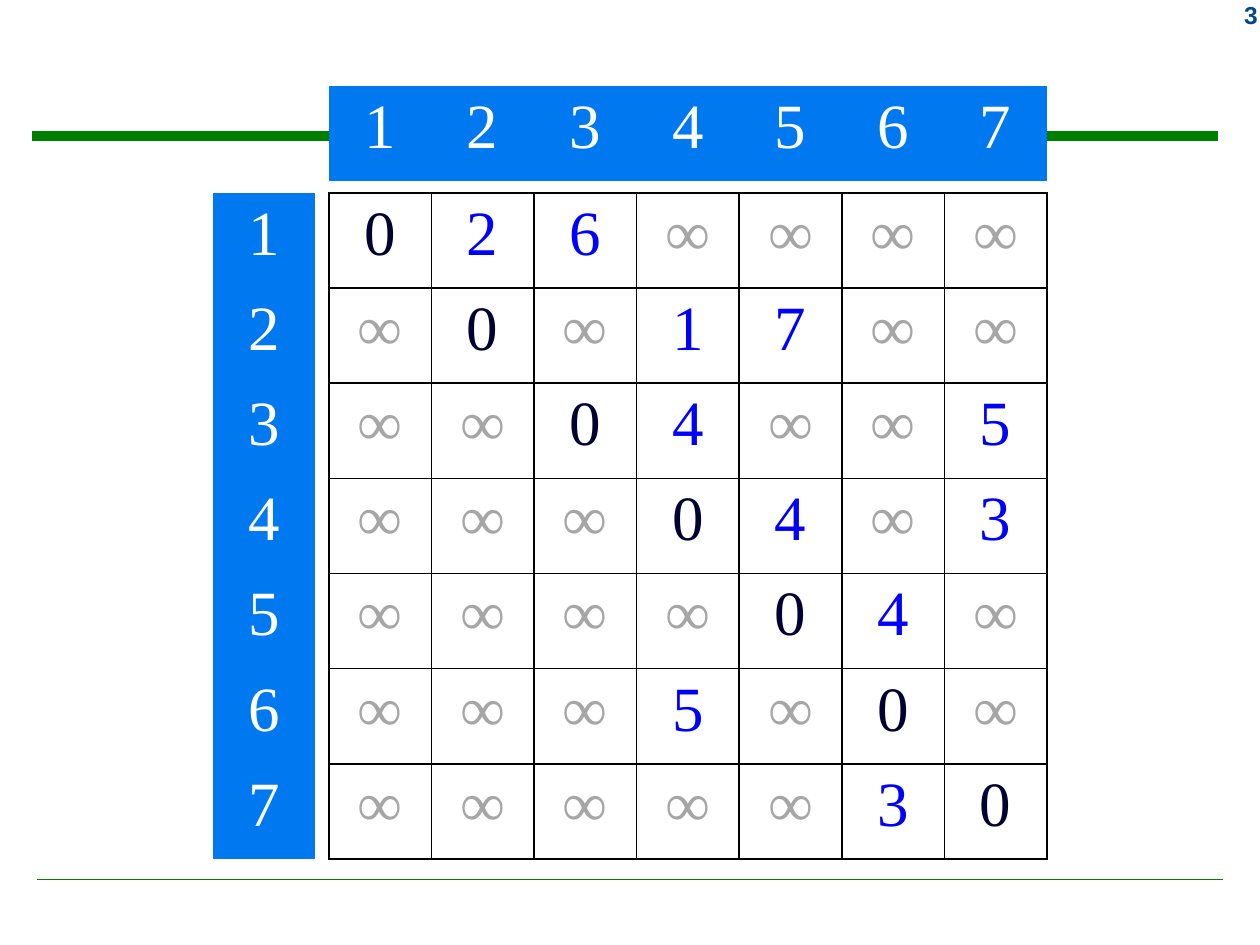
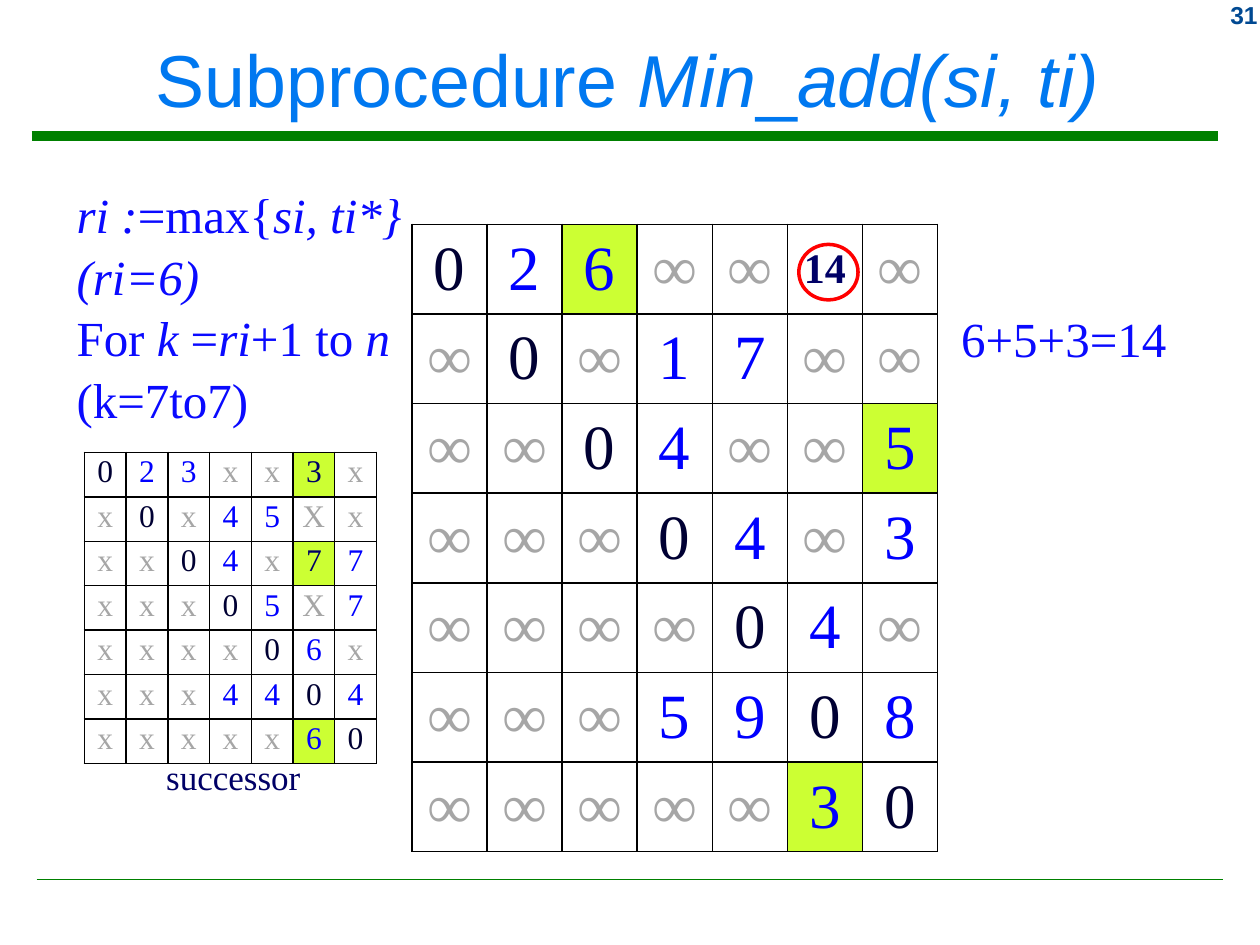
from dataclasses import dataclass, field

import pptx
import pptx.dml.color
import pptx.enum.shapes
import pptx.enum.text
import pptx.oxml
import pptx.oxml.ns
import pptx.util
from lxml import etree

PX = 9144  # EMU per px, 100 px to the inch
ALIGN = pptx.enum.text.PP_ALIGN
ANCHOR = pptx.enum.text.MSO_ANCHOR
SANS, SERIF = "Arial", "Times New Roman"
COLORS = {
    "rule": "008000", "number": "004992", "header": "0078F0", "white": "FFFFFF",
    "diagonal": "000033", "value": "0000FF", "empty": "A6A6A6", "border": "000000",
    "lime": "CCFF33", "navy": "000066", "body": "0A0AFF", "ring": "FF0000",
}


@dataclass
class Box:
    left: int
    top: int
    width: int
    height: int

    def emu(self) -> list[int]:
        return [length * PX for length in (self.left, self.top, self.width, self.height)]


@dataclass
class TextStyle:
    size: int
    color: str
    font: str = SERIF
    bold: bool = False
    align: ALIGN = ALIGN.LEFT
    anchor: ANCHOR = ANCHOR.TOP
    spacing: float = 1.0
    wrap: bool = True


@dataclass
class Mark:
    """Emphasis of a single grid cell."""
    fill: str = ""
    color: str = ""
    size: int = 0
    bold: bool = False


@dataclass
class Grid:
    box: Box
    rows: list[str]
    size: int = 36
    header: bool = False
    anchor: ANCHOR = ANCHOR.TOP
    insets: tuple[int, int] = (10, 5)
    marks: dict[tuple[int, int], Mark] = field(default_factory=dict)


def rgb(name: str) -> pptx.dml.color.RGBColor:
    return pptx.dml.color.RGBColor.from_string(COLORS[name])


def style_run(run, style: TextStyle, italic: bool = False) -> None:
    run.font.name = style.font
    run.font.size = pptx.util.Pt(style.size)
    run.font.bold = style.bold
    run.font.italic = italic
    run.font.color.rgb = rgb(style.color)


def write_lines(text_frame, lines: list[str], style: TextStyle) -> None:
    """Fill a frame; the parts between bars are italic."""
    text_frame.word_wrap = style.wrap
    text_frame.auto_size = pptx.enum.text.MSO_AUTO_SIZE.NONE
    text_frame.vertical_anchor = style.anchor
    text_frame.text = "\n".join(line.replace("|", "") for line in lines)
    for paragraph, line in zip(text_frame.paragraphs, lines):
        paragraph.alignment = style.align
        paragraph.line_spacing = style.spacing
        paragraph.text = ""
        for index, part in enumerate(line.split("|")):
            if part:
                run = paragraph.add_run()
                run.text = part
                style_run(run, style, italic=index % 2 == 1)


def add_text(slide, box: Box, lines: list[str], style: TextStyle) -> None:
    write_lines(slide.shapes.add_textbox(*box.emu()).text_frame, lines, style)


def add_rule(slide, left: int, right: int, top: int, weight: float) -> None:
    connector = slide.shapes.add_connector(
        pptx.enum.shapes.MSO_CONNECTOR.STRAIGHT, left * PX, top * PX, right * PX, top * PX)
    connector.line.color.rgb = rgb("rule")
    connector.line.width = pptx.util.Pt(weight)
    etree.SubElement(connector._element.spPr, pptx.oxml.ns.qn("a:effectLst"))


def set_borders(cell, visible: bool) -> None:
    properties = cell._tc.get_or_add_tcPr()
    paint = (f'<a:solidFill><a:srgbClr val="{COLORS["border"]}"/></a:solidFill>'
             if visible else "<a:noFill/>")
    for index, side in enumerate("LRTB"):
        properties.insert(index, pptx.oxml.parse_xml(
            f'<a:ln{side} {pptx.oxml.ns.nsdecls("a")} w="12700">{paint}</a:ln{side}>'))


def value_color(value: str) -> str:
    if value == "0":
        return "diagonal"
    return "empty" if value in "∞xX" else "value"


def add_grid(slide, grid: Grid) -> None:
    rows = [row.split() for row in grid.rows]
    table = slide.shapes.add_table(len(rows), len(rows[0]), *grid.box.emu()).table
    table.first_row = table.horz_banding = False
    side, edge = (inset * PX for inset in grid.insets)
    for row, values in enumerate(rows):
        for column, value in enumerate(values):
            mark = grid.marks.get((row, column), Mark())
            cell = table.cell(row, column)
            cell.margin_left = cell.margin_right = side
            cell.margin_top = cell.margin_bottom = edge
            cell.vertical_anchor = grid.anchor
            fill = "header" if grid.header else mark.fill
            if fill:
                cell.fill.solid()
                cell.fill.fore_color.rgb = rgb(fill)
            else:
                cell.fill.background()
            set_borders(cell, visible=not grid.header)
            color = "white" if grid.header else mark.color or value_color(value)
            paragraph = cell.text_frame.paragraphs[0]
            paragraph.text = value
            paragraph.alignment = ALIGN.CENTER
            style_run(paragraph.runs[0],
                      TextStyle(mark.size or grid.size, color, bold=mark.bold))


def add_slide(presentation, number: int, title: str = ""):
    """Start a slide with the shared rules, page number and optional title."""
    slide = presentation.slides.add_slide(presentation.slide_layouts[5 if title else 6])
    add_rule(slide, 25, 967, 108, 5.25)
    add_rule(slide, 29, 971, 698, 1)
    add_text(slide, Box(917, -5, 91, 33), [str(number)],
             TextStyle(14, "number", SANS, bold=True, align=ALIGN.RIGHT))
    if title:
        shape = slide.shapes.title
        shape.left, shape.top, shape.width, shape.height = Box(8, 9, 980, 106).emu()
        write_lines(shape.text_frame, [title], TextStyle(
            42, "header", SANS, align=ALIGN.CENTER, anchor=ANCHOR.MIDDLE))
    return slide


def build_distance_slide(presentation) -> None:
    slide = add_slide(presentation, 3)
    labels = "1 2 3 4 5 6 7"
    add_grid(slide, Grid(Box(261, 153, 570, 529), [
        "0 2 6 ∞ ∞ ∞ ∞",
        "∞ 0 ∞ 1 7 ∞ ∞",
        "∞ ∞ 0 4 ∞ ∞ 5",
        "∞ ∞ ∞ 0 4 ∞ 3",
        "∞ ∞ ∞ ∞ 0 4 ∞",
        "∞ ∞ ∞ 5 ∞ 0 ∞",
        "∞ ∞ ∞ ∞ ∞ 3 0",
    ]))
    add_grid(slide, Grid(Box(261, 68, 570, 76), [labels], header=True))
    add_grid(slide, Grid(Box(169, 153, 81, 529), labels.split(), header=True))


def build_min_add_slide(presentation) -> None:
    slide = add_slide(presentation, 31, "Subprocedure |Min|_|add(si, ti)|")
    lime = Mark(fill="lime")
    lime_navy = Mark(fill="lime", color="navy")

    # Distance matrix
    add_grid(slide, Grid(Box(327, 178, 417, 498), [
        "0 2 6 ∞ ∞ 14 ∞",
        "∞ 0 ∞ 1 7 ∞ ∞",
        "∞ ∞ 0 4 ∞ ∞ 5",
        "∞ ∞ ∞ 0 4 ∞ 3",
        "∞ ∞ ∞ ∞ 0 4 ∞",
        "∞ ∞ ∞ 5 9 0 8",
        "∞ ∞ ∞ ∞ ∞ 3 0",
    ], anchor=ANCHOR.MIDDLE, marks={
        (0, 2): lime, (2, 6): lime, (6, 5): lime,
        (0, 5): Mark(color="navy", size=24, bold=True),
    }))

    # Procedure steps and labels
    body = TextStyle(28, "body", spacing=1.05)
    add_text(slide, Box(122, 595, 128, 44), ["successor"], TextStyle(20, "navy", wrap=False))
    add_text(slide, Box(51, 139, 323, 199), [
        "|ri :|=max{|si, ti*}|",
        "|(ri=6)|",
        "For |k |=|ri|+1 to |n|",
        "(k=7to7)",
    ], body)
    add_text(slide, Box(753, 238, 228, 57), ["6+5+3=14"], body)

    # Ring around the new distance
    ring = slide.shapes.add_shape(
        pptx.enum.shapes.MSO_SHAPE.OVAL, *Box(634, 194, 47, 44).emu())
    ring.shadow.inherit = False
    ring.fill.background()
    ring.line.color.rgb = rgb("ring")
    ring.line.width = pptx.util.Pt(2)

    # Successor matrix
    add_grid(slide, Grid(Box(67, 359, 232, 247), [
        "0 2 3 x x 3 x",
        "x 0 x 4 5 X x",
        "x x 0 4 x 7 7",
        "x x x 0 5 X 7",
        "x x x x 0 6 x",
        "x x x 4 4 0 4",
        "x x x x x 6 0",
    ], size=18, insets=(5, 2),
        marks={(0, 5): lime_navy, (2, 5): lime_navy, (6, 5): lime}))


def main() -> None:
    presentation = pptx.Presentation()
    presentation.slide_width, presentation.slide_height = 1000 * PX, 750 * PX
    build_distance_slide(presentation)
    build_min_add_slide(presentation)
    presentation.save("out.pptx")


if __name__ == "__main__":
    main()
